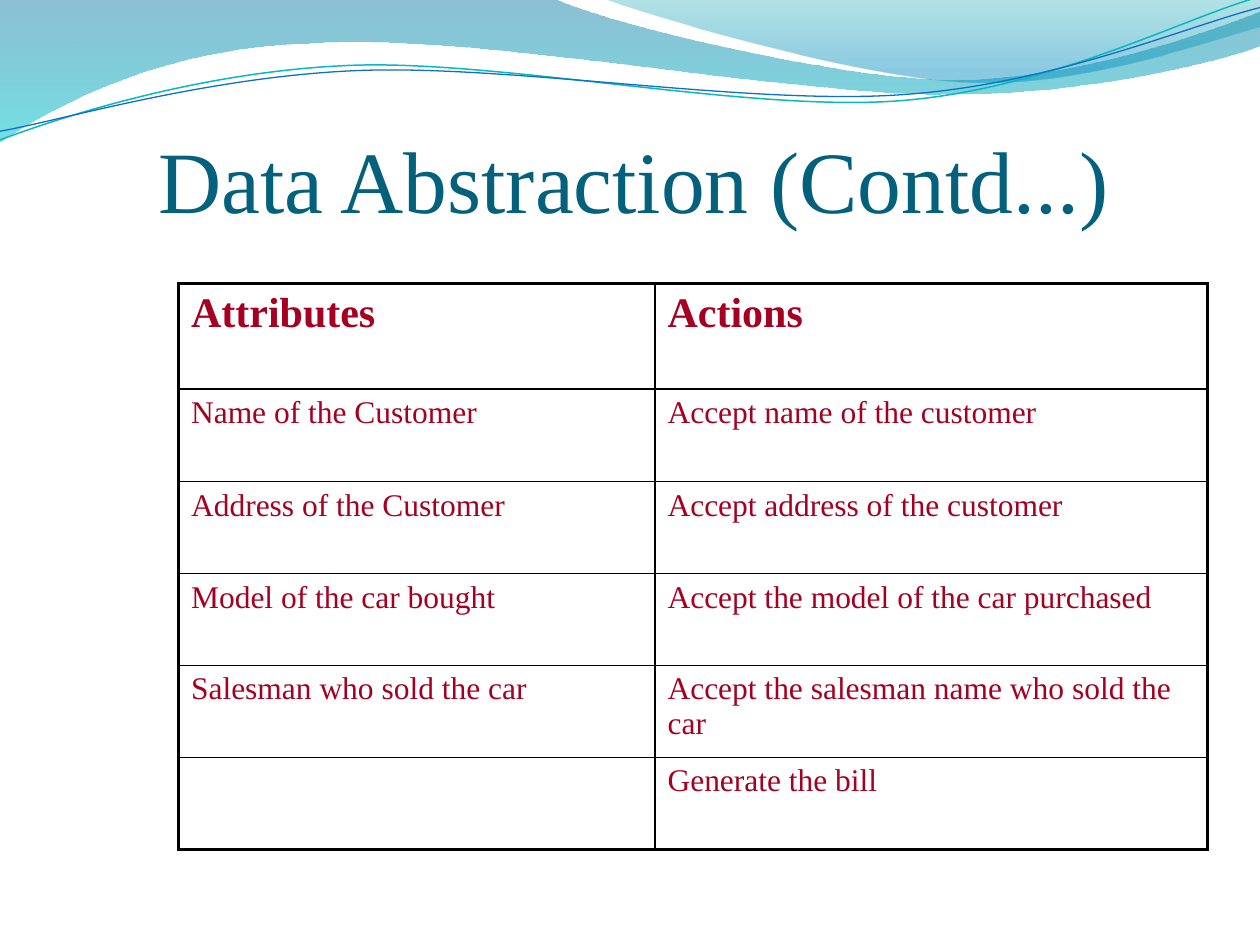
from dataclasses import dataclass

from lxml.etree import SubElement
from pptx import Presentation
from pptx.dml.color import RGBColor
from pptx.enum.text import MSO_ANCHOR as Anchor, MSO_AUTO_SIZE as AutoSize, PP_ALIGN as Align
from pptx.oxml import parse_xml
from pptx.oxml.ns import nsdecls, qn
from pptx.util import Pt

FONT = "Times New Roman"
COLORS = {
    "title": "04617B", "text": "A50021", "border": "000000",
    "teal_line": "0AB8BF", "blue_line": "0F6FC6",
    "deep_blue": "0074A1", "cyan": "00C6CF", "teal": "00A1A9", "sky": "008BBF",
}
THIN, THICK = 1, 2.25
LINE_TILT = -2.7

Point = tuple[float, float]


@dataclass
class Stop:
    position: float
    color: str
    opacity: int


@dataclass
class Wave:
    """Segments hold one point for a straight line, three for a Bezier curve."""
    start: Point
    segments: list[list[Point]]
    stops: tuple[Stop, ...] = ()
    line: str = ""
    width: float = 0


WAVES = [
    Wave((0, 0), [
        [(316.8, -0.7)],
        [(342.7, 12.2), (478.1, 45.4), (545.8, 45.4)],
        [(614.2, 45.4), (689.8, 18.7), (720, 6.5)],
        [(720.7, 25.9)],
        [(707.8, 31.7), (626.4, 54.7), (537.1, 54)],
        [(447.8, 54), (275, 20.2), (185, 24.5)],
        [(92.9, 25.9), (33.1, 59.8), (-0.7, 81.4)],
        [(0, 0)],
    ], stops=(Stop(0, "deep_blue", 45), Stop(1, "cyan", 55))),
    Wave((344.9, -0.7), [
        [(366.5, 7.9), (491, 44.6), (553.7, 46.8)],
        [(616.3, 49.7), (691.9, 23), (720, 15.1)],
        [(720, 0)],
        [(344.9, -0.7)],
    ], stops=(Stop(0, "teal", 30), Stop(0.8, "sky", 45))),
    Wave((-1.4, 63), [
        [(33.8, 51.7), (114.1, 29.4), (199.8, 29.9)],
        [(284.8, 30.3), (425.8, 67.3), (512.4, 64.9)],
        [(599, 62.4), (676.5, 25.7), (720.2, 15.5)],
    ], line="teal_line", width=0.85),
    Wave((-1.1, 58), [
        [(32.9, 53.8), (118.3, 32.5), (204.1, 33)],
        [(290.6, 33.4), (428.9, 63.8), (515.5, 61.4)],
        [(601.4, 59.6), (678.4, 30.1), (721.4, 21.3)],
    ], line="blue_line", width=0.75),
]

COLUMN_WIDTHS = [272.3, 315.7]
ROW_HEIGHTS = [60.3, 53] + [52.5] * 4
ROWS = [
    ("Attributes", "Actions"),
    ("Name of the Customer", "Accept name of the customer"),
    ("Address of the Customer", "Accept address of the customer"),
    ("Model of the car bought", "Accept the model of the car purchased"),
    ("Salesman who sold the car", "Accept the salesman name who sold the car"),
    ("", "Generate the bill"),
]


def rgb(name: str) -> RGBColor:
    return RGBColor.from_string(COLORS[name])


def bend_segments(shape, segments: list[list[Point]]) -> None:
    """Merge each run of three straight steps into one Bezier curve."""
    steps = iter(list(shape._element.iter(qn("a:lnTo"))))
    for segment in segments:
        first = next(steps)
        if len(segment) == 3:
            curve = parse_xml(f'<a:cubicBezTo {nsdecls("a")}/>')
            first.addprevious(curve)
            for step in (first, next(steps), next(steps)):
                curve.append(step[0])
                step.getparent().remove(step)


def draw_wave(slide, wave: Wave) -> None:
    vertices = [(Pt(x), Pt(y)) for segment in wave.segments for x, y in segment]
    builder = slide.shapes.build_freeform(Pt(wave.start[0]), Pt(wave.start[1]))
    builder.add_line_segments(vertices, close=bool(wave.stops))
    shape = builder.convert_to_shape()
    bend_segments(shape, wave.segments)
    shape.shadow.inherit = False
    if not wave.stops:
        shape.rotation = LINE_TILT
        shape.fill.background()
        shape.line.color.rgb = rgb(wave.line)
        shape.line.width = Pt(wave.width)
        return
    shape.line.fill.background()
    shape.fill.gradient()
    shape.fill.gradient_angle = 270
    for gradient_stop, stop in zip(shape.fill.gradient_stops, wave.stops):
        gradient_stop.position = stop.position
        gradient_stop.color.rgb = rgb(stop.color)
    for color, stop in zip(shape._element.spPr.iter(qn("a:srgbClr")), wave.stops):
        SubElement(color, qn("a:alpha")).set("val", str(stop.opacity * 1000))


def draw_title(slide, text: str) -> None:
    title = slide.shapes.title
    title._element.getparent().append(title._element)  # in front of the waves
    title.left, title.top, title.width, title.height = Pt(90.7), Pt(41.8), Pt(613.4), Pt(90)
    frame = title.text_frame
    frame.text = text
    frame.word_wrap = True
    frame.auto_size = AutoSize.NONE
    frame.vertical_anchor = Anchor.BOTTOM
    frame.margin_left = frame.margin_right = frame.margin_bottom = Pt(0)
    frame.margin_top = Pt(3.6)
    paragraph = frame.paragraphs[0]
    paragraph.alignment = Align.LEFT
    font = paragraph.runs[0].font
    font.name, font.size, font.color.rgb = FONT, Pt(50), rgb("title")


def set_borders(cell, widths: dict[str, float]) -> None:
    properties = cell._tc.get_or_add_tcPr()
    for index, (side, width) in enumerate(widths.items()):
        properties.insert(index, parse_xml(
            f'<a:ln{side} {nsdecls("a")} w="{Pt(width)}"><a:solidFill>'
            f'<a:srgbClr val="{COLORS["border"]}"/></a:solidFill></a:ln{side}>'))


def draw_table(slide) -> None:
    last_row, last_column = len(ROWS) - 1, len(COLUMN_WIDTHS) - 1
    table = slide.shapes.add_table(
        len(ROWS), len(COLUMN_WIDTHS), Pt(102), Pt(162),
        Pt(sum(COLUMN_WIDTHS)), Pt(sum(ROW_HEIGHTS))).table
    table.first_row = table.horz_banding = False
    for column, width in zip(table.columns, COLUMN_WIDTHS):
        column.width = Pt(width)
    for r, texts in enumerate(ROWS):
        table.rows[r].height = Pt(ROW_HEIGHTS[r])
        for c, text in enumerate(texts):
            cell = table.cell(r, c)
            cell.fill.background()
            set_borders(cell, {
                "L": THICK if c == 0 else THIN, "R": THICK if c == last_column else THIN,
                "T": THICK if r == 0 else THIN, "B": THICK if r == last_row else THIN})
            cell.text_frame.text = text
            for run in cell.text_frame.paragraphs[0].runs:
                run.font.name, run.font.color.rgb = FONT, rgb("text")
                run.font.size = Pt(24 if r == 0 else 18)
                run.font.bold = r == 0


def main() -> None:
    presentation = Presentation()
    presentation.slide_width, presentation.slide_height = Pt(720), Pt(540)
    slide = presentation.slides.add_slide(presentation.slide_layouts[5])
    for wave in WAVES:
        draw_wave(slide, wave)
    draw_title(slide, "Data Abstraction (Contd...)")
    draw_table(slide)
    presentation.save("out.pptx")


if __name__ == "__main__":
    main()
